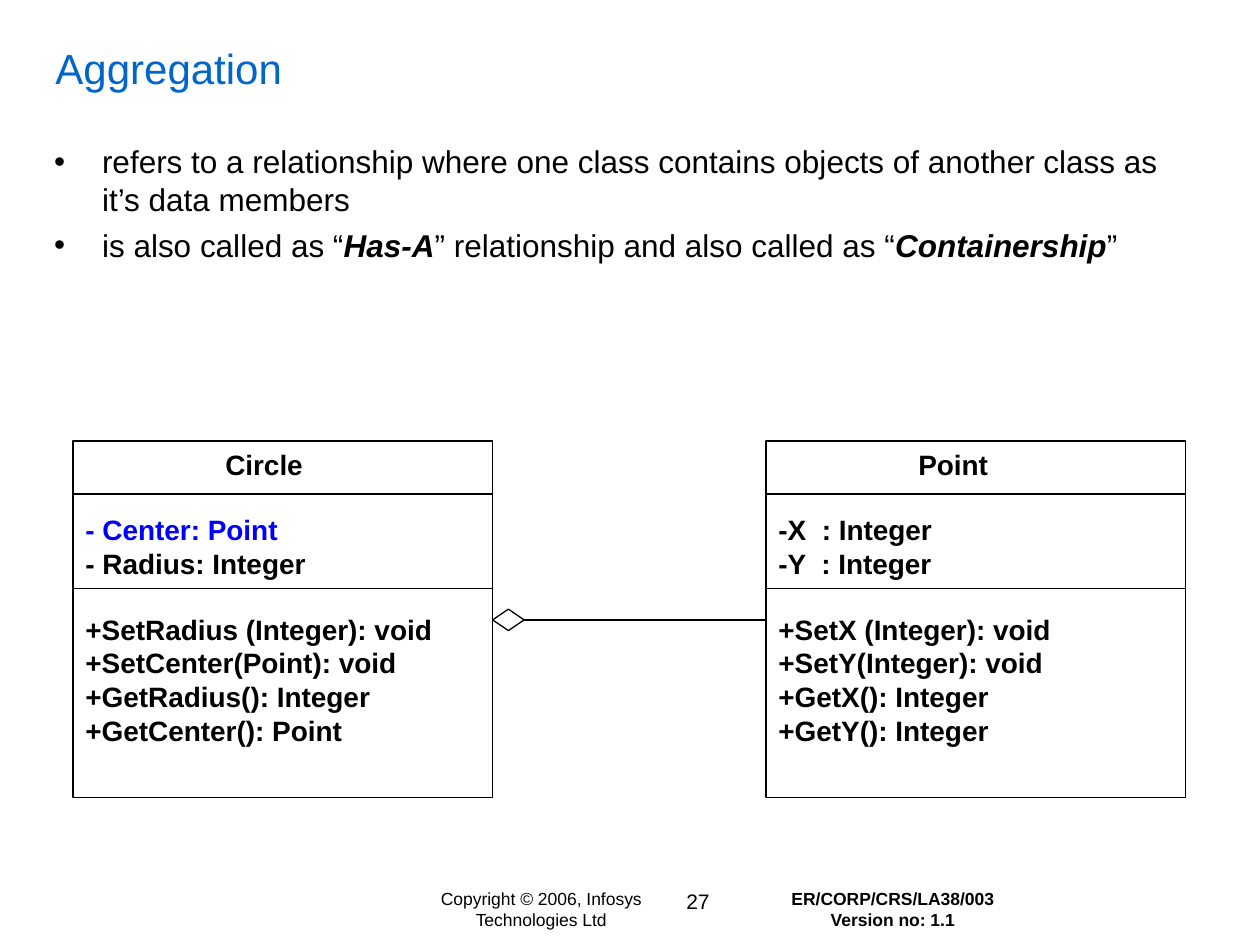
from pptx import Presentation
from pptx import util as u
from pptx.dml.color import RGBColor
from pptx.enum import shapes, text
from pptx.oxml.ns import qn
from lxml import etree

BLACK = RGBColor(0, 0, 0)
WHITE = RGBColor(255, 255, 255)
TITLE_BLUE = RGBColor(0, 0x66, 0xCC)
MEMBER_BLUE = RGBColor(0, 0, 255)
LEFT, CENTER = text.PP_ALIGN.LEFT, text.PP_ALIGN.CENTER
TOP, MIDDLE = text.MSO_ANCHOR.TOP, text.MSO_ANCHOR.MIDDLE

TITLE = "Aggregation"
EMPHASIS = {"bold": True, "italic": True}
BULLETS = [
    [("refers to a relationship where one class contains objects of another class as it’s data members", {})],
    [("is also called as “", {}), ("Has-A", EMPHASIS),
     ("” relationship and also called as “", {}), ("Containership", EMPHASIS), ("”", {})],
]
CLASSES = [
    {"left": 0.58, "name": "Circle",
     "attributes": [("- Center: Point", MEMBER_BLUE), ("- Radius: Integer", BLACK)],
     "methods": ["+SetRadius (Integer): void", "+SetCenter(Point): void",
                 "+GetRadius(): Integer", "+GetCenter(): Point"]},
    {"left": 6.08, "name": "Point",
     "attributes": [("-X  : Integer", BLACK), ("-Y  : Integer", BLACK)],
     "methods": ["+SetX (Integer): void", "+SetY(Integer): void",
                 "+GetX(): Integer", "+GetY(): Integer"]},
]
FOOTERS = [
    ((3.17, 7, 2.25, 0.44), ["Copyright © 2006, Infosys Technologies Ltd"], {"size": 10}),
    ((5.06, 7, 0.96, 0.3), ["27"], {"size": 12}),
    ((5.75, 7, 2.67, 0.44), ["ER/CORP/CRS/LA38/003", "Version no: 1.1"], {"size": 10, "bold": True}),
]

BOX_TOP, BOX_WIDTH, BOX_HEIGHT = 3.5, 3.33, 2.83
DIVIDERS = (3.92, 4.67)
NAME_INDENT = 1.11
SECTION_GAP = 18.4
LINK_Y = 4.92
DIAMOND_WIDTH, DIAMOND_HEIGHT = 0.25, 0.17


def inches(*values):
    return [u.Inches(value) for value in values]


def format_font(font, size, color=BLACK, **values):
    font.color.rgb = color
    for name, value in {"name": "Arial", "size": u.Pt(size), **values}.items():
        setattr(font, name, value)


def place(shape, box):
    for name, value in zip(("left", "top", "width", "height"), inches(*box)):
        setattr(shape, name, value)


def prepare_frame(shape, anchor):
    frame = shape.text_frame
    settings = {"word_wrap": True, "auto_size": text.MSO_AUTO_SIZE.NONE, "vertical_anchor": anchor}
    for name, value in settings.items():
        setattr(frame, name, value)
    return frame


def add_paragraph(frame, index, runs, size, alignment=LEFT, before=0, **values):
    paragraph = frame.paragraphs[0] if index == 0 else frame.add_paragraph()
    paragraph.alignment = alignment
    paragraph.space_before = u.Pt(before)
    for words, changes in runs:
        run = paragraph.add_run()
        run.text = words
        format_font(run.font, size, **{**values, **changes})
    return paragraph


def set_indent(paragraph, margin, first_line=0):
    properties = paragraph._p.get_or_add_pPr()
    properties.set("marL", str(u.Inches(margin)))
    properties.set("indent", str(u.Inches(first_line)))
    return properties


def add_line(slide, start, end, y):
    line = slide.shapes.add_connector(shapes.MSO_CONNECTOR.STRAIGHT, *inches(start, y, end, y))
    line.line.color.rgb = BLACK
    line.line.width = u.Pt(0.75)
    etree.SubElement(line._element.spPr, qn("a:effectLst"))


def add_outline(slide, kind, box):
    shape = slide.shapes.add_shape(kind, *inches(*box))
    shape.shadow.inherit = False
    shape.fill.solid()
    shape.fill.fore_color.rgb = WHITE
    shape.line.color.rgb = BLACK
    shape.line.width = u.Pt(0.75)
    return shape


def add_class(slide, item):
    left = item["left"]
    box = add_outline(slide, shapes.MSO_SHAPE.RECTANGLE, (left, BOX_TOP, BOX_WIDTH, BOX_HEIGHT))
    frame = prepare_frame(box, TOP)
    sections = [[(item["name"], BLACK)], item["attributes"],
                [(method, BLACK) for method in item["methods"]]]
    index = 0
    for section_index, section in enumerate(sections):
        for row, (words, color) in enumerate(section):
            before = SECTION_GAP if section_index and row == 0 else 0
            paragraph = add_paragraph(frame, index, [(words, {})], 16, before=before, color=color, bold=True)
            if index == 0:
                set_indent(paragraph, NAME_INDENT)
            index += 1
    for y in DIVIDERS:
        add_line(slide, left, left + BOX_WIDTH, y)


def main():
    presentation = Presentation()
    presentation.slide_width, presentation.slide_height = inches(10, 7.5)
    slide = presentation.slides.add_slide(presentation.slide_layouts[1])

    title, body = slide.placeholders
    place(title, (0.34, 0.26, 9.38, 0.56))
    add_paragraph(prepare_frame(title, MIDDLE), 0, [(TITLE, {})], 24, color=TITLE_BLUE)

    place(body, (0.33, 1.08, 9.17, 1.33))
    frame = prepare_frame(body, TOP)
    for index, runs in enumerate(BULLETS):
        paragraph = add_paragraph(frame, index, runs, 18, before=4.5 if index else 0)
        properties = set_indent(paragraph, 0.38, -0.38)
        etree.SubElement(properties, qn("a:buChar"), char="•")

    for item in CLASSES:
        add_class(slide, item)

    whole, part = CLASSES
    link_start = whole["left"] + BOX_WIDTH
    add_outline(slide, shapes.MSO_SHAPE.FLOWCHART_DECISION,
                (link_start, LINK_Y - DIAMOND_HEIGHT / 2, DIAMOND_WIDTH, DIAMOND_HEIGHT))
    add_line(slide, link_start + DIAMOND_WIDTH, part["left"], LINK_Y)

    for box, lines, values in FOOTERS:
        frame = prepare_frame(slide.shapes.add_textbox(*inches(*box)), TOP)
        for index, words in enumerate(lines):
            add_paragraph(frame, index, [(words, {})], alignment=CENTER, **values)

    presentation.save("out.pptx")


if __name__ == "__main__":
    main()
